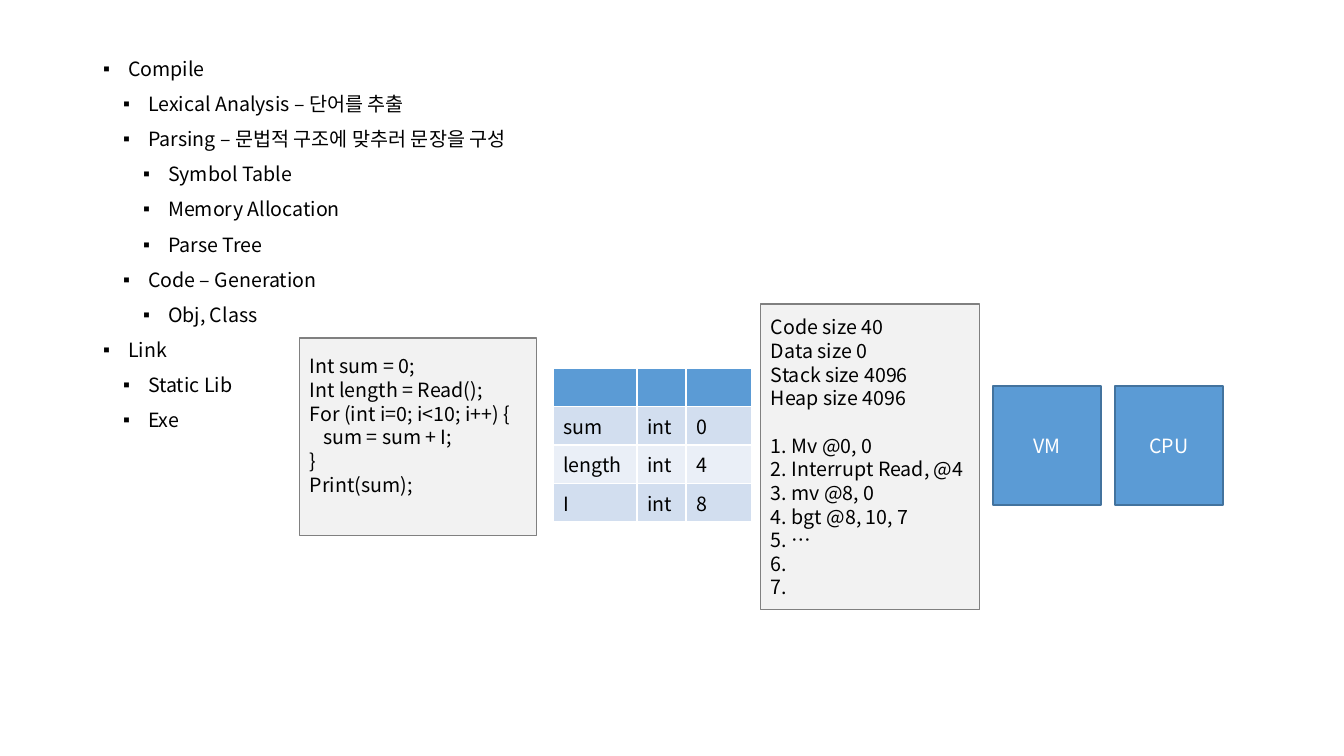
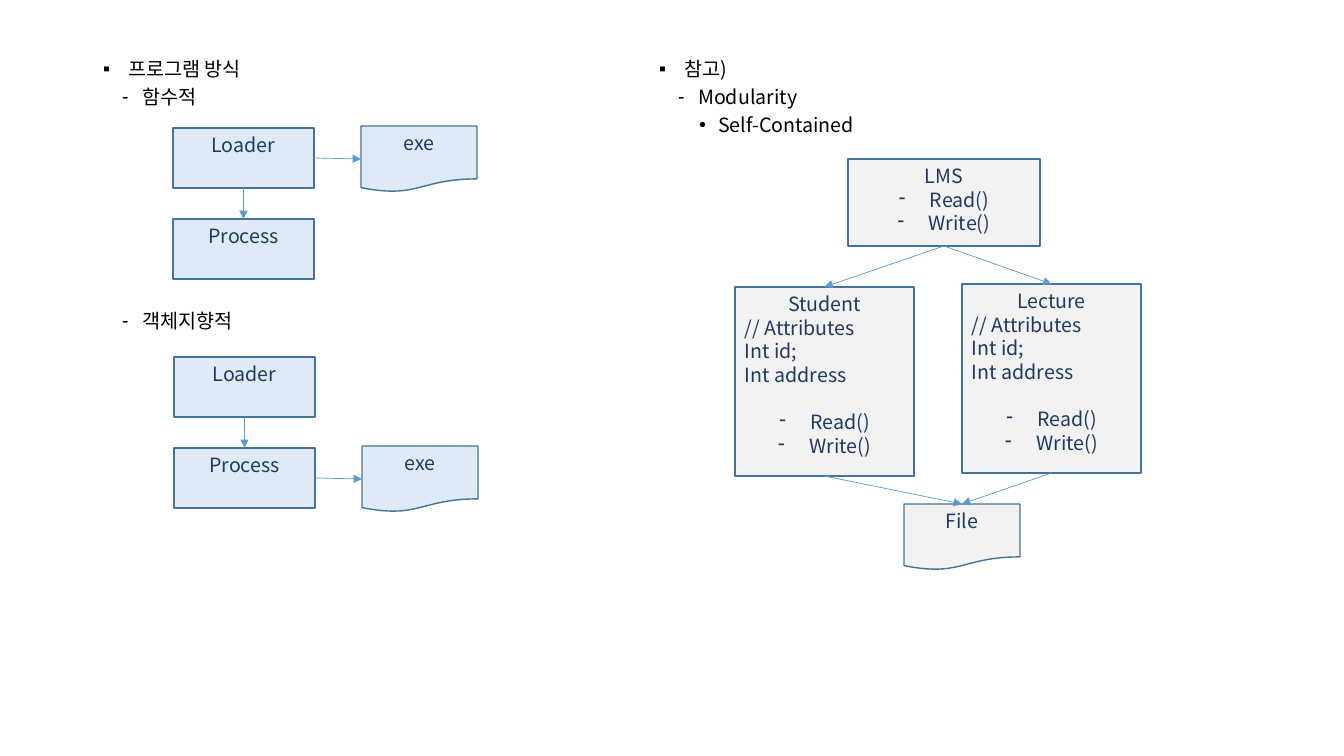
from pptx import Presentation
from pptx.dml.color import RGBColor
from pptx.enum import shapes, text
from pptx.oxml.ns import qn
from pptx.util import Emu, Pt
from lxml import etree

PX = 914400 / 100.8
FONT = "Noto Sans CJK KR"
BLACK = RGBColor(0x00, 0x00, 0x00)
WHITE = RGBColor(0xFF, 0xFF, 0xFF)
NAVY = RGBColor(0x20, 0x38, 0x64)
BLUE = RGBColor(0x5B, 0x9B, 0xD5)
EDGE = RGBColor(0x43, 0x73, 0x9E)
SKY = RGBColor(0xDE, 0xEB, 0xF7)
PALE = RGBColor(0xF2, 0xF2, 0xF2)
GRAY = RGBColor(0x80, 0x80, 0x80)
BAND_DARK = RGBColor(0xD2, 0xDE, 0xEF)
BAND_LIGHT = RGBColor(0xEA, 0xEF, 0xF7)
RECT = shapes.MSO_SHAPE.RECTANGLE
DOCUMENT = shapes.MSO_SHAPE.FLOWCHART_DOCUMENT
LEFT, CENTER = text.PP_ALIGN.LEFT, text.PP_ALIGN.CENTER
TOP, MIDDLE = text.MSO_ANCHOR.TOP, text.MSO_ANCHOR.MIDDLE
SITE_TOP, SITE_LEFT, SITE_BOTTOM, SITE_RIGHT = range(4)


def write(frame, words, color=BLACK, align=LEFT, before=0, spacing=16.9,
          bullet=None, margin=0, hang=0):
    para = frame.paragraphs[0]
    if para.runs:
        para = frame.add_paragraph()
    if bullet:
        props = para._p.get_or_add_pPr()
        props.set("marL", str(round(margin * PX)))
        props.set("indent", str(round(-hang * PX)))
        etree.SubElement(props, qn("a:buChar")).set("char", bullet)
    para.alignment = align
    para.space_before = Pt(before)
    if spacing:
        para.line_spacing = Pt(spacing)
    span = para.add_run()
    span.text = words
    span.font.size = Pt(14)
    span.font.name = FONT
    span.font.color.rgb = color
    etree.SubElement(span._r.get_or_add_rPr(), qn("a:ea")).set("typeface", FONT)


def draw_box(page, kind, bounds, fill, line=EDGE, weight=1, anchor=TOP):
    box = page.shapes.add_shape(kind, *[Emu(round(n * PX)) for n in bounds])
    box.shadow.inherit = False
    box.fill.solid()
    box.fill.fore_color.rgb = fill
    box.line.color.rgb = line
    box.line.width = Pt(weight)
    box.text_frame.word_wrap = True
    box.text_frame.vertical_anchor = anchor
    return box


deck = Presentation()
deck.slide_width = Emu(round(1344 * PX))
deck.slide_height = Emu(round(756 * PX))

compile_page = deck.slides.add_slide(deck.slide_layouts[1])
program_page = deck.slides.add_slide(deck.slide_layouts[3])

SQUARE = dict(bullet="▪", margin=25, hang=25)
SQUARE_2 = dict(bullet="▪", margin=45, hang=25, before=10)
SQUARE_3 = dict(bullet="▪", margin=65, hang=25, before=10)
DASH = dict(bullet="-", margin=39, hang=20)
DOT = dict(bullet="•", margin=59, hang=19, before=5)

outlines = [
    (compile_page, 1, 93, 540, [
        ("Compile", SQUARE),
        ("Lexical Analysis – 단어를 추출", SQUARE_2),
        ("Parsing – 문법적 구조에 맞추러 문장을 구성", SQUARE_2),
        ("Symbol Table", SQUARE_3),
        ("Memory Allocation", SQUARE_3),
        ("Parse Tree", SQUARE_3),
        ("Code – Generation", SQUARE_2),
        ("Obj, Class", SQUARE_3),
        ("Link", SQUARE | dict(before=10)),
        ("Static Lib", SQUARE_2),
        ("Exe", SQUARE_2),
    ]),
    (program_page, 1, 93, 540, [
        ("프로그램 방식", SQUARE),
        ("함수적", DASH | dict(before=5)),
        ("객체지향적", DASH | dict(before=145)),
    ]),
    (program_page, 2, 649, 613, [
        ("참고)", SQUARE),
        ("Modularity", DASH | dict(before=5)),
        ("Self-Contained", DOT),
    ]),
]
for page, index, left, width, lines in outlines:
    body = page.placeholders[index]
    body.left, body.top = Emu(round(left * PX)), Emu(round(54 * PX))
    body.width, body.height = Emu(round(width * PX)), Emu(round(627 * PX))
    body.text_frame.auto_size = text.MSO_AUTO_SIZE.NONE
    body.text_frame.word_wrap = True
    body.text_frame.vertical_anchor = TOP
    for words, style in lines:
        write(body.text_frame, words, spacing=15.1, **style)

for page in deck.slides:
    title = page.shapes.title.element
    title.getparent().remove(title)

symbols = [("", "", ""), ("sum", "int", "0"), ("length", "int", "4"), ("I", "int", "8")]
fills = [BLUE, BAND_DARK, BAND_LIGHT, BAND_DARK]
widths = [84, 49, 66]
row_height = 38.5
frame_bounds = [553, 368, sum(widths), row_height * len(symbols)]
symbol_table = compile_page.shapes.add_table(
    len(symbols), len(widths), *[Emu(round(n * PX)) for n in frame_bounds]).table
for column, width in zip(symbol_table.columns, widths):
    column.width = Emu(round(width * PX))
for row, values, fill in zip(symbol_table.rows, symbols, fills):
    row.height = Emu(round(row_height * PX))
    for cell, value in zip(row.cells, values):
        cell.fill.solid()
        cell.fill.fore_color.rgb = fill
        cell.margin_top = cell.margin_bottom = 0
        cell.vertical_anchor = MIDDLE
        if value:
            write(cell.text_frame, value, spacing=None)

source_lines = ["Int sum = 0;", "Int length = Read();", "For (int i=0; i<10; i++) {",
                "   sum = sum + I;", "}", "Print(sum);"]
size_lines = ["Code size 40", "Data size 0", "Stack size 4096", "Heap size 4096"]
step_lines = ["1. Mv @0, 0", "2. Interrupt Read, @4", "3. mv @8, 0",
              "4. bgt @8, 10, 7", "5. …", "6.", "7."]

source_box = draw_box(compile_page, RECT, (300, 338, 237, 198), PALE, GRAY, 0.75, MIDDLE)
source_box.text_frame.margin_bottom = Emu(round(29 * PX))
for words in source_lines:
    write(source_box.text_frame, words)

object_box = draw_box(compile_page, RECT, (761, 304, 219, 306), PALE, GRAY, 0.75, MIDDLE)
for words in size_lines + step_lines:
    write(object_box.text_frame, words, before=16.9 if words == step_lines[0] else 0)

for left, words in [(993, "VM"), (1115, "CPU")]:
    machine = draw_box(compile_page, RECT, (left, 386, 108, 119), BLUE, anchor=MIDDLE)
    write(machine.text_frame, words, color=WHITE, align=CENTER)

links = []
for left, top, exe_owner in [(173, 128, "Loader"), (174, 357, "Process")]:
    stages = {}
    for step, words in enumerate(["Loader", "Process"]):
        stages[words] = draw_box(program_page, RECT, (left, top + 91 * step, 141, 60), SKY)
        write(stages[words].text_frame, words, color=NAVY, align=CENTER)
    owner_top = top + 91 * list(stages).index(exe_owner)
    exe = draw_box(program_page, DOCUMENT, (left + 188, owner_top - 2, 116, 66), SKY)
    write(exe.text_frame, "exe", color=NAVY, align=CENTER)
    links.append((stages["Loader"], SITE_BOTTOM, stages["Process"], SITE_TOP))
    links.append((stages[exe_owner], SITE_RIGHT, exe, SITE_LEFT))

attributes = ["// Attributes", "Int id;", "Int address"]
modules = {}
for name, bounds, fields in [
    ("LMS", (848, 159, 192, 87), []),
    ("Student", (735, 287, 179, 189), attributes),
    ("Lecture", (962, 284, 179, 189), attributes),
]:
    modules[name] = draw_box(program_page, RECT, bounds, PALE)
    frame = modules[name].text_frame
    write(frame, name, color=NAVY, align=CENTER)
    for field in fields:
        write(frame, field, color=NAVY)
    for method, gap in [("Read()", 16.9 if fields else 0), ("Write()", 0)]:
        write(frame, method, color=NAVY, align=CENTER, before=gap,
              bullet="-", margin=31, hang=31)

file_box = draw_box(program_page, DOCUMENT, (904, 504, 116, 66), PALE)
write(file_box.text_frame, "File", color=NAVY, align=CENTER)
for name in ["Student", "Lecture"]:
    links.append((modules["LMS"], SITE_BOTTOM, modules[name], SITE_TOP))
    links.append((modules[name], SITE_BOTTOM, file_box, SITE_TOP))

for start, start_site, end, end_site in links:
    arrow = program_page.shapes.add_connector(shapes.MSO_CONNECTOR.STRAIGHT, 0, 0, 0, 0)
    arrow.begin_connect(start, start_site)
    arrow.end_connect(end, end_site)
    arrow.line.color.rgb = BLUE
    arrow.line.width = Pt(0.5)
    etree.SubElement(arrow.line._get_or_add_ln(), qn("a:tailEnd")).set("type", "triangle")
    etree.SubElement(arrow._element.spPr, qn("a:effectLst"))

deck.save("out.pptx")
